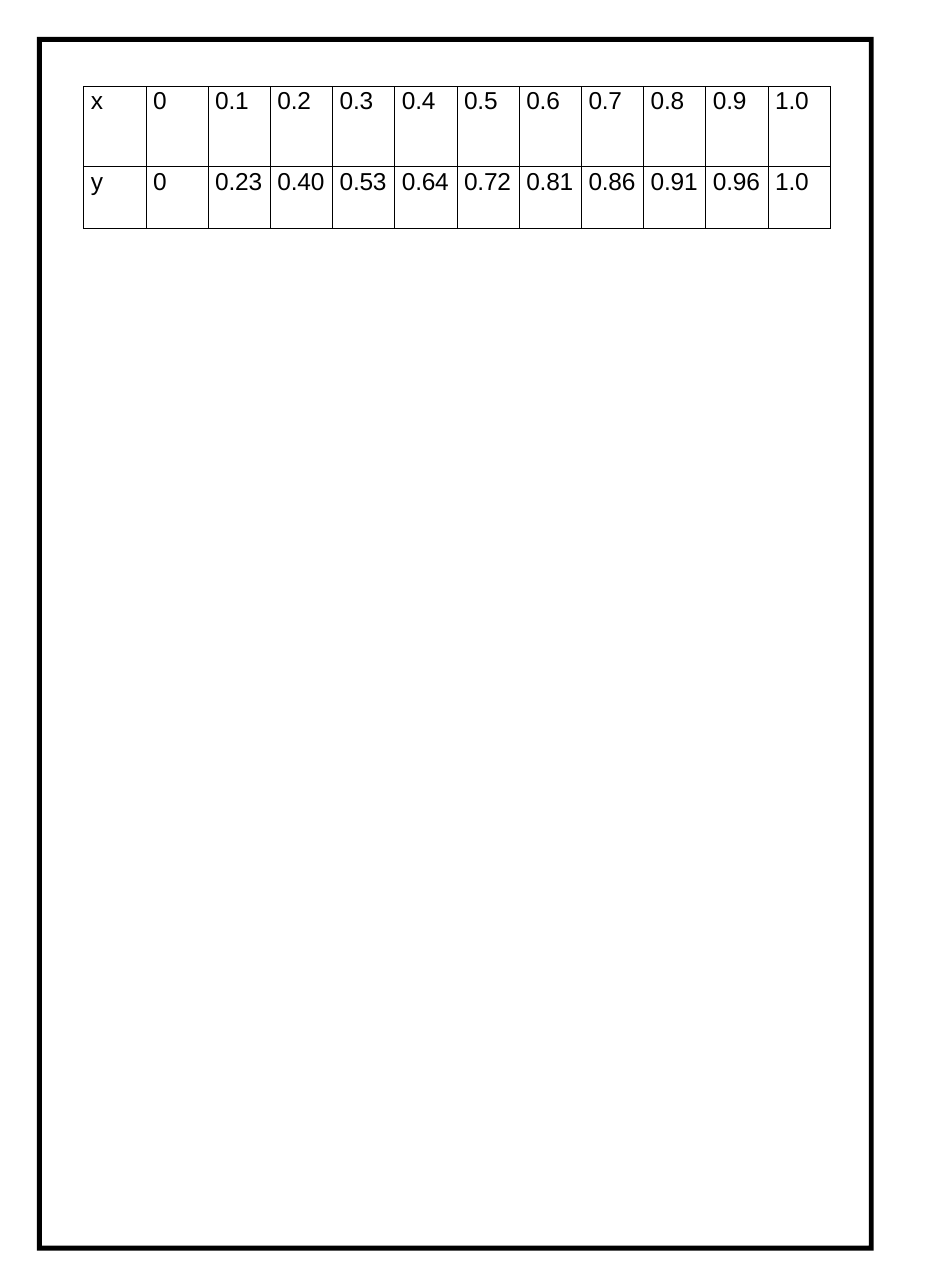
from lxml import etree
from pptx import Presentation, util as u
from pptx.dml.color import RGBColor
from pptx.oxml import ns

PX = 4572  # EMU; 200 px to the inch
BLACK = RGBColor(0, 0, 0)
FONT = "Arial"
BLANK_LAYOUT = 6

VALUES = [
    ["x", "0", "0.1", "0.2", "0.3", "0.4", "0.5", "0.6", "0.7", "0.8", "0.9", "1.0"],
    ["y", "0", "0.23", "0.40", "0.53", "0.64", "0.72", "0.81", "0.86", "0.91", "0.96", "1.0"],
]
ROW_HEIGHTS = [146, 112]
LINE_SPACINGS = [18.6, 18.7]


def px(length):
    return u.Emu(length * PX)


def add_page_frame(page, left, top, width, height, thickness):
    """Draw a solid border as an outer outline with an inner hole."""
    right, bottom = left + width, top + height
    builder = page.shapes.build_freeform(left, top, scale=PX)
    builder.add_line_segments([(right, top), (right, bottom), (left, bottom)])
    inner_left, inner_top = left + thickness, top + thickness
    inner_right, inner_bottom = right - thickness, bottom - thickness
    builder.move_to(inner_left, inner_top)
    builder.add_line_segments([(inner_left, inner_bottom),
                               (inner_right, inner_bottom),
                               (inner_right, inner_top)])
    frame = builder.convert_to_shape()
    frame.shadow.inherit = False
    frame.fill.solid()
    frame.fill.fore_color.rgb = BLACK
    frame.line.fill.background()


def set_borders(cell, color, points):
    properties = cell._tc.get_or_add_tcPr()
    for position, side in enumerate(("lnL", "lnR", "lnT", "lnB")):
        line = etree.Element(ns.qn(f"a:{side}"), w=str(u.Pt(points)))
        fill = etree.SubElement(line, ns.qn("a:solidFill"))
        etree.SubElement(fill, ns.qn("a:srgbClr"), val=str(color))
        properties.insert(position, line)


def write_text(cell, text, size, color, line_spacing, tracking):
    para = cell.text_frame.paragraphs[0]
    para.line_spacing = u.Pt(line_spacing)
    span = para.add_run()
    span.text = text
    span.font.name = FONT
    span.font.size = u.Pt(size)
    span.font.color.rgb = color
    span._r.get_or_add_rPr().set("spc", str(tracking))


def add_value_table(page, left, top, column_width, indent):
    columns = len(VALUES[0])
    holder = page.shapes.add_table(len(VALUES), columns, px(left), px(top),
                                   px(column_width * columns), px(sum(ROW_HEIGHTS)))
    table = holder.table
    table.first_row = table.horz_banding = False
    for column in table.columns:
        column.width = px(column_width)
    for row, height, spacing, texts in zip(table.rows, ROW_HEIGHTS, LINE_SPACINGS, VALUES):
        row.height = px(height)
        for cell, text in zip(row.cells, texts):
            cell.margin_left = px(indent)
            cell.margin_right = cell.margin_top = cell.margin_bottom = 0
            cell.fill.background()
            set_borders(cell, BLACK, points=0.5)
            write_text(cell, text, size=16, color=BLACK, line_spacing=spacing,
                       tracking=-10 if "." in text else 0)


def main():
    deck = Presentation()
    deck.slide_width, deck.slide_height = px(1700), px(2340)
    page = deck.slides.add_slide(deck.slide_layouts[BLANK_LAYOUT])
    add_page_frame(page, left=67, top=67, width=1520, height=2205, thickness=9)
    add_value_table(page, left=152, top=157, column_width=113, indent=13)
    deck.save("out.pptx")


if __name__ == "__main__":
    main()
